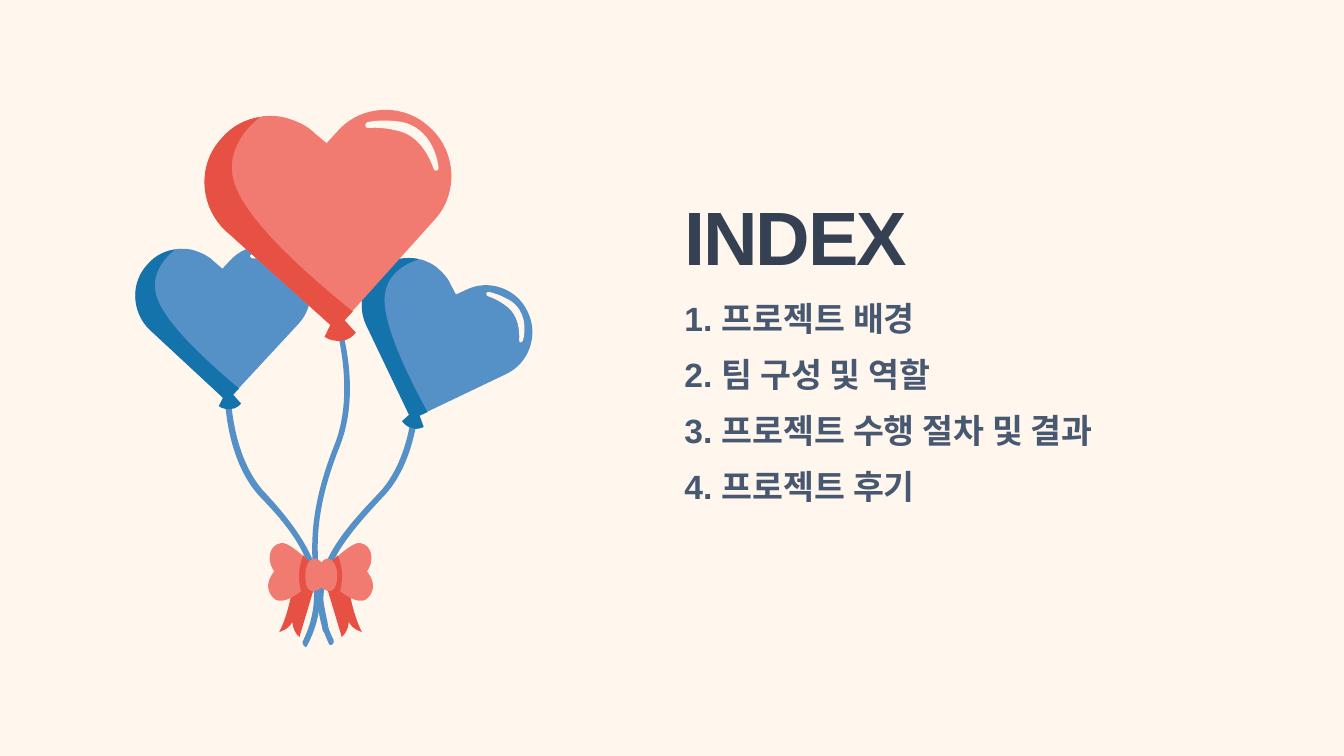
from math import cos, radians, sin

from pptx import Presentation
from pptx.dml.color import RGBColor
from pptx.enum import text
from pptx.oxml.ns import qn
from pptx.util import Pt

CREAM, WHITE = "FFF7EE", "FFFFFF"
CORAL, RED = "F17B71", "E75144"
SKY, BLUE = "5590C6", "1373AA"
NAVY, SLATE = "354153", "475870"
UNIT = 0.72  # points per outline unit

# Balloon outlines, measured from the tip of the heart
HEART = """M 98 -109 L 0 0 L -109 -98 C -135 -122 -137 -164 -113 -190
    C -103 -202 -89 -209 -75 -211 C -73 -212 -70 -212 -68 -212
    C -62 -212 -55 -212 -49 -210 C -39 -207 -29 -203 -21 -195 L -9 -185 L 1 -196
    C 13 -210 29 -217 46 -218 C 63 -219 80 -213 93 -201 C 120 -177 122 -135 98 -109"""
SHINE = """M 32 -200 C 29 -200 28 -205 32 -206 C 42 -208 54 -208 66 -206
    C 89 -201 100 -179 102 -161 C 103 -158 98 -156 97 -160
    C 92 -174 82 -192 63 -197 C 51 -200 41 -201 32 -200"""
SHADE = """M 17 -18 L 0 0 L -109 -98 C -135 -122 -138 -164 -113 -190
    C -103 -202 -89 -209 -75 -211 C -75 -211 -112 -185 -101 -147
    C -90 -107 -20 -48 17 -18"""
KNOT = "M 1 -18 L -11 7 C -11 7 -5 12 5 11 C 14 11 20 3 20 3 L 1 -18"

# String and bow outlines, measured from the middle of the bow
RIGHT_STRING = """M 10 70 C 9 70 8 69 8 68 C -5 41 -6 15 5 -11 C 15 -34 33 -55 57 -80
    C 91 -115 92 -177 92 -178 C 92 -179 94 -181 95 -181 C 97 -181 98 -179 98 -178
    C 98 -175 97 -112 61 -76 C 19 -31 -15 10 13 65 C 14 67 13 69 10 70"""
LEFT_STRING = """M -15 72 C -16 72 -18 69 -18 67
    C 11 9 -20 -36 -59 -76 C -94 -112 -95 -175 -95 -178 C -95 -179 -94 -181 -92 -181
    C -91 -181 -89 -179 -89 -178 C -89 -177 -88 -115 -54 -80 C -29 -53 -14 -31 -6 -10
    C 3 16 1 43 -13 70 C -13 71 -14 72 -15 72"""
MIDDLE_STRING = """M 5 58 C 4 58 2 57 2 55 L 1 49 C -9 -4 -18 -49 14 -129
    C 39 -193 7 -275 6 -275 C 6 -277 6 -279 8 -279 C 9 -280 11 -279 12 -278
    C 12 -277 20 -256 25 -227 C 30 -201 33 -162 19 -127 C -12 -49 -4 -6 7 48
    L 8 54 C 8 56 7 57 5 58"""
TAIL = """M -28 14 C -28 14 -32 40 -41 57 C -41 57 -32 55 -28 47
    C -28 47 -28 56 -21 62 L -6 12 C -6 12 -19 5 -28 14"""
LOOP = """M -8 -9 L -8 8 C -8 8 -13 13 -20 17 C -29 24 -41 30 -47 23
    C -59 11 -46 -3 -46 -3 C -54 -14 -51 -29 -40 -31 C -35 -33 -25 -25 -18 -19
    C -12 -14 -8 -9 -8 -9"""
FOLD = """M -8 -9 L -8 8 C -8 8 -13 13 -19 17 C -24 2 -20 -13 -17 -19
    C -12 -14 -8 -9 -8 -9"""
BOW_KNOT = """M 15 11 C 11 22 1 13 1 13 C 1 13 -10 22 -14 11 C -17 -1 -14 -12 -9 -15
    C -4 -18 1 -12 1 -12 C 1 -12 5 -18 10 -15 C 15 -12 19 -1 15 11"""


def rgb(color):
    return RGBColor.from_string(color)


def bend(sp, commands):
    """Join each three line points of a C command into one cubic curve."""
    lines = iter(list(sp._element.iter(qn("a:lnTo"))))
    for command in commands:
        first = next(lines)
        if command == "C":
            first.tag = qn("a:cubicBezTo")
            for _ in range(2):
                extra = next(lines)
                first.append(extra[0])
                extra.getparent().remove(extra)


def draw(shapes, outline, color, origin, scale=1, angle=0, flip=1):
    """Add a filled outline, scaled, rotated and mirrored about its origin."""
    c, n, k = cos(radians(angle)), sin(radians(angle)), scale * UNIT
    tokens = outline.split()
    commands = [t for t in tokens if t in "LC"]
    nums = [float(t) for t in tokens if t not in "MLC"]
    points = [(Pt(origin[0] + k * (x * flip * c - y * n)),
               Pt(origin[1] + k * (x * flip * n + y * c)))
              for x, y in zip(nums[::2], nums[1::2])]
    builder = shapes.build_freeform(*points[0])
    builder.add_line_segments(points[1:], close=True)
    sp = builder.convert_to_shape()
    bend(sp, commands)
    sp.shadow.inherit = False
    sp.fill.solid()
    sp.fill.fore_color.rgb = rgb(color)
    sp.line.fill.background()


def add_balloon(shapes, tip, front, side, shine=CREAM, **pose):
    for outline, color in ((HEART, front), (SHINE, shine), (SHADE, side), (KNOT, side)):
        draw(shapes, outline, color, tip, **pose)


def add_bow(shapes, middle):
    for flip in (1, -1):
        for outline, color in ((TAIL, RED), (LOOP, CORAL), (FOLD, RED)):
            draw(shapes, outline, color, middle, flip=flip)
    draw(shapes, BOW_KNOT, CORAL, middle)


def add_bouquet(s, left, top):
    shapes = s.shapes.add_group_shape().shapes
    bow = left + 136.1, top + 332.6
    # Right balloon
    draw(shapes, RIGHT_STRING, SKY, bow)
    add_balloon(shapes, (left + 200.9, top + 221.8), SKY, BLUE, scale=0.71, angle=22.5)
    # Left balloon
    draw(shapes, LEFT_STRING, SKY, bow)
    add_balloon(shapes, (left + 69.1, top + 208.8), SKY, BLUE, WHITE, scale=0.71, angle=0.9)
    # Large balloon in front
    draw(shapes, MIDDLE_STRING, SKY, bow)
    add_balloon(shapes, (left + 146.9, top + 157.7), CORAL, RED)
    add_bow(shapes, bow)


def write(sp, lines, box, size, color, spacing=None, tracking=None):
    sp.left, sp.top, sp.width, sp.height = (Pt(v) for v in box)
    tf = sp.text_frame
    tf.word_wrap = True
    tf.auto_size = text.MSO_AUTO_SIZE.SHAPE_TO_FIT_TEXT
    tf.vertical_anchor = text.MSO_ANCHOR.TOP
    for i, line in enumerate(lines):
        p = tf.paragraphs[0] if i == 0 else tf.add_paragraph()
        pPr = p._p.get_or_add_pPr()
        pPr.set("marL", "0")
        pPr.set("indent", "0")
        p.alignment = text.PP_ALIGN.LEFT
        p.space_before = Pt(0)
        if spacing:
            p.line_spacing = Pt(spacing)
        pPr.append(pPr.makeelement(qn("a:buNone"), {}))
        r = p.add_run()
        r.text = line
        r.font.name, r.font.size, r.font.bold = "Arial", Pt(size), True
        r.font.color.rgb = rgb(color)
        if tracking:
            r.font._element.set("spc", str(int(tracking * 100)))


def add_index(s, left, top, width):
    # Heading
    write(s.shapes.title, ["INDEX"], (left, top, 253.4, 72.7), 54, NAVY, tracking=-1.5)
    # Contents
    write(s.placeholders[1],
          ["1. 프로젝트 배경", "2. 팀 구성 및 역할", "3. 프로젝트 수행 절차 및 결과", "4. 프로젝트 후기"],
          (left, top + 66.2, width, 164.9), 24, SLATE, spacing=40)


def main():
    prs = Presentation()
    prs.slide_width, prs.slide_height = Pt(960), Pt(540)
    s = prs.slides.add_slide(prs.slide_layouts[1])
    s.background.fill.solid()
    s.background.fill.fore_color.rgb = rgb(CREAM)
    add_bouquet(s, 92.9, 77.8)
    add_index(s, 481.7, 131.8, 409)
    prs.save("out.pptx")


if __name__ == "__main__":
    main()
